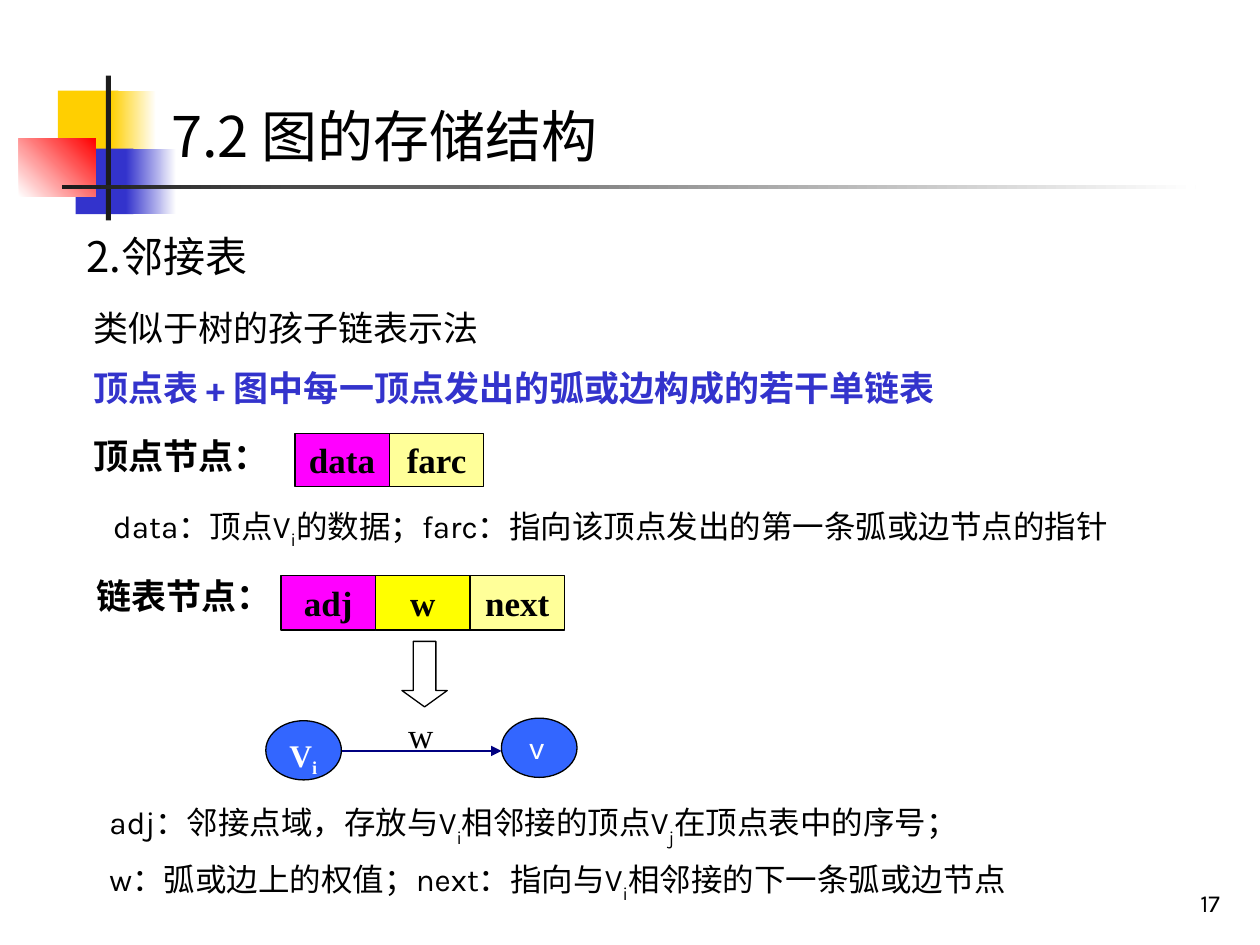
import pptx
import pptx.dml.color
import pptx.enum.shapes
import pptx.enum.text
import pptx.oxml
import pptx.oxml.ns
import pptx.util

SCALE = 9144
SHAPE = pptx.enum.shapes.MSO_SHAPE
ALIGN = pptx.enum.text.PP_ALIGN
ANCHOR = pptx.enum.text.MSO_ANCHOR
SERIF = "Times New Roman"
CHINESE = "Noto Sans CJK SC"


def px(value):
    return pptx.util.Emu(value * SCALE)


def color(value):
    return pptx.dml.color.RGBColor.from_string(value)


def add_element(parent, tag, attributes=""):
    namespace = pptx.oxml.ns.nsdecls("a")
    parent.append(pptx.oxml.parse_xml(f"<a:{tag} {namespace} {attributes}/>"))


class SlideBuilder:
    ink = "000000"
    face = "Karla"
    hanging = 38

    def __init__(self, slide):
        self.shapes = slide.shapes

    def fill_text(self, owner, paragraphs, size, face=None, ink=None,
                  bold=False, align=ALIGN.LEFT, anchor=ANCHOR.TOP, wrap=True,
                  spacing=None, before=0, drop=-25, emphasis=None):
        face = face or self.face
        frame = owner.text_frame
        frame.word_wrap = wrap
        frame.vertical_anchor = anchor
        for index, parts in enumerate(paragraphs):
            para = frame.paragraphs[0] if index == 0 else frame.add_paragraph()
            para.alignment = align
            if spacing:
                para.line_spacing = spacing
                properties = para._p.get_or_add_pPr()
                properties.set("marL", str(px(self.hanging)))
                properties.set("indent", str(px(-self.hanging)))
            if index:
                para.space_before = pptx.util.Pt(before)
            accent = emphasis if index else None
            for position, part in enumerate(parts):
                span = para.add_run()
                span.text = part
                span.font.size = pptx.util.Pt(size)
                span.font.bold = bold or bool(accent)
                span.font.color.rgb = color(accent or ink or self.ink)
                span.font.name = face
                east = face if face.startswith("Noto") else CHINESE
                add_element(span.font._element, "ea", f'typeface="{east}"')
                if position % 2:
                    span.font._element.set("baseline", str(drop * 1000))

    def text(self, place, paragraphs, size, **style):
        box = self.shapes.add_textbox(*map(px, place))
        self.fill_text(box, paragraphs, size, **style)

    def body(self, place, paragraphs, size, spacing=1.2, **style):
        self.text(place, paragraphs, size, spacing=spacing,
                  align=ALIGN.JUSTIFY, **style)

    def shape(self, kind, place, fill, outline=None):
        shape = self.shapes.add_shape(kind, *map(px, place))
        shape.shadow.inherit = False
        shape.fill.solid()
        shape.fill.fore_color.rgb = color(fill)
        if outline:
            shape.line.color.rgb = color(outline)
            shape.line.width = pptx.util.Pt(0.75)
        else:
            shape.line.fill.background()
        return shape

    def fade(self, place, start, end, angle=0):
        fill = self.shape(SHAPE.RECTANGLE, place, start).fill
        fill.gradient()
        fill.gradient_angle = angle
        for stop, value in zip(fill.gradient_stops, (start, end)):
            stop.color.rgb = color(value)

    def node_cells(self, left, top, height, cells, width=75):
        for index, (label, fill) in enumerate(cells):
            place = (left + index * width, top, width, height)
            cell = self.shape(SHAPE.RECTANGLE, place, fill, self.ink)
            self.fill_text(cell, [[label]], 20, face=SERIF, bold=True,
                           wrap=False, align=ALIGN.CENTER,
                           anchor=ANCHOR.MIDDLE)

    def vertex(self, left, top):
        return self.shape(SHAPE.OVAL, (left, top, 60, 47), "3366FF", self.ink)

    def arrow(self, left, right, level, ink):
        line = self.shapes.add_connector(
            pptx.enum.shapes.MSO_CONNECTOR.STRAIGHT,
            px(left), px(level), px(right), px(level))
        line.line.color.rgb = color(ink)
        line.line.width = pptx.util.Pt(1.5)
        add_element(line.line._get_or_add_ln(), "tailEnd", 'type="triangle"')
        add_element(line._element.spPr, "effectLst")


def main():
    deck = pptx.Presentation()
    deck.slide_width, deck.slide_height = px(1000), px(750)
    page = SlideBuilder(deck.slides.add_slide(deck.slide_layouts[6]))

    page.shape(SHAPE.RECTANGLE, (46, 72, 48, 52), "FFCF01")
    page.fade((88, 72, 36, 52), "FFCF01", "FFFFFF")
    page.shape(SHAPE.RECTANGLE, (60, 118, 46, 52), "3333CC")
    page.fade((100, 118, 40, 52), "3333CC", "FFFFFF")
    page.fade((15, 110, 61, 46), "FFFFFF", "FF0000", 45)
    page.shape(SHAPE.RECTANGLE, (84, 60, 4, 115), "1C1C1C")
    page.fade((49, 147, 900, 3), "1C1C1C", "FFFFFF")

    page.text((770, 683, 208, 50), [["17"]], 14,
              align=ALIGN.RIGHT, anchor=ANCHOR.BOTTOM)
    page.text((126, 76, 874, 64), [["7.2 图的存储结构"]], 32,
              face="Noto Sans CJK JP")
    page.text((59, 178, 740, 50), [["2.邻接表"]], 24, face=CHINESE)

    page.body((64, 232, 867, 114),
              [["类似于树的孩子链表示法"],
               ["顶点表 + 图中每一顶点发出的弧或边构成的若干单链表"]],
              20, before=5, emphasis="3333CC")

    page.body((64, 333, 164, 59), [["顶点节点："]], 20, bold=True)
    page.node_cells(234, 344, 42, [("data", "FF00FF"), ("farc", "FFFF99")])
    page.body((80, 391, 882, 59),
              [["data：顶点V", "i",
                "的数据；farc：指向该顶点发出的第一条弧或边节点的指针"]], 18)

    page.body((67, 444, 164, 59), [["链表节点："]], 20, bold=True)
    page.node_cells(223, 457, 43, [("adj", "FF00FF"), ("w", "FFFF00"),
                                   ("next", "FFFF99")])
    pointer = page.shape(SHAPE.DOWN_ARROW, (319, 509, 36, 52), "FFFFFF",
                         page.ink)
    pointer.adjustments[1] = 0.36

    page.arrow(264, 398, 596, "000080")
    page.fill_text(page.vertex(211, 572), [["V", "i"]], 18, face=SERIF,
                   ink="FFFFFF", bold=True, align=ALIGN.JUSTIFY)
    page.text((314, 561, 42, 44), [["w"]], 20, face=SERIF)
    page.vertex(398, 570)
    page.text((410, 573, 36, 44), [["v", "j"]], 18, ink="FFFFFF", wrap=False)

    page.body((77, 629, 888, 98),
              [["adj：邻接点域，存放与V", "i", "相邻接的顶点V", "j",
                "在顶点表中的序号；"],
               ["w：弧或边上的权值；next：指向与V", "i",
                "相邻接的下一条弧或边节点"]],
              18, spacing=1.1, before=4.5, drop=-30)

    deck.save("out.pptx")


if __name__ == "__main__":
    main()
